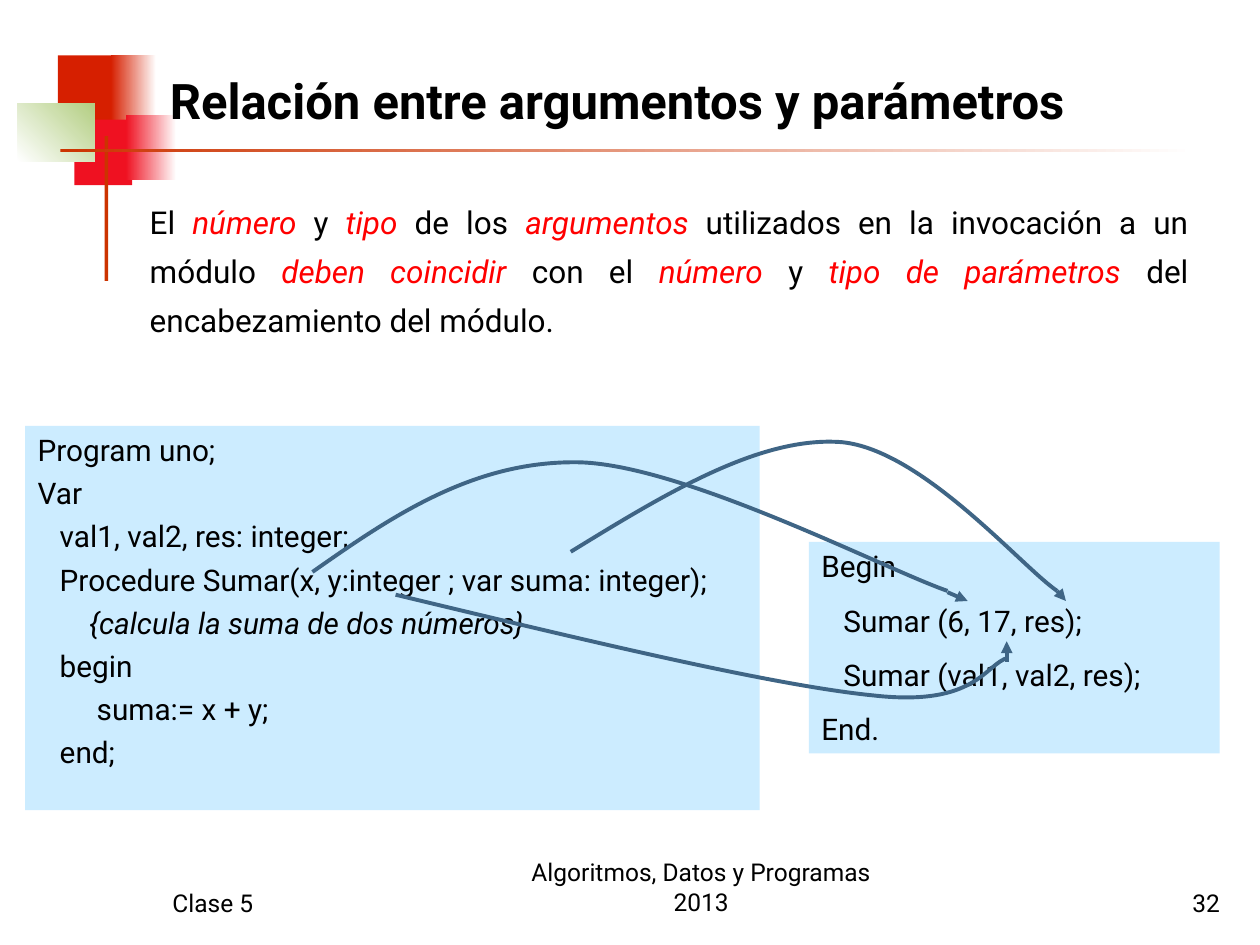
"""Build the slide on the relation between arguments and parameters."""
from lxml import etree
from pptx import Presentation
from pptx.dml.color import RGBColor
from pptx.enum.shapes import MSO_CONNECTOR, MSO_SHAPE
from pptx.enum.text import MSO_ANCHOR, PP_ALIGN
from pptx.oxml.ns import qn
from pptx.util import Inches, Pt

RECTANGLE = MSO_SHAPE.RECTANGLE
STRAIGHT = MSO_CONNECTOR.STRAIGHT
TOP, MIDDLE, BOTTOM = MSO_ANCHOR.TOP, MSO_ANCHOR.MIDDLE, MSO_ANCHOR.BOTTOM
LEFT, CENTER, RIGHT, JUSTIFY = PP_ALIGN.LEFT, PP_ALIGN.CENTER, PP_ALIGN.RIGHT, PP_ALIGN.JUSTIFY
FONT = "Roboto"
COLORS = {
    "white": "FFFFFF", "black": "000000", "emphasis": "FF0000",
    "brick": "D61F00", "red": "EF1121", "green": "B3CE82",
    "rule": "CC3300", "code": "CCECFF", "arrow": "3F6585",
}


def color(name):
    return RGBColor.from_string(COLORS[name])


def add_text(text, *, box, size, fill=None, bold=False, align=LEFT, anchor=TOP,
             emphasis="black", before=0, spacing=None, hanging=0):
    position = [Inches(value) for value in box]
    if fill:
        shape = slide.shapes.add_shape(RECTANGLE, *position)
        shape.shadow.inherit = False
        shape.fill.solid()
        shape.fill.fore_color.rgb = color(fill)
        shape.line.fill.background()
    else:
        shape = slide.shapes.add_textbox(*position)
    frame = shape.text_frame
    frame.word_wrap = True
    frame.vertical_anchor = anchor
    for number, line in enumerate(text.split("\n")):
        paragraph = frame.add_paragraph() if number else frame.paragraphs[0]
        paragraph.alignment = align
        if number:
            paragraph.space_before = Pt(before)
        if spacing:
            paragraph.line_spacing = spacing
        if hanging:
            properties = paragraph._p.get_or_add_pPr()
            properties.set("marL", str(Inches(hanging)))
            properties.set("indent", str(-Inches(hanging)))
        for part, words in enumerate(line.split("*")):
            if words:
                run = paragraph.add_run()
                run.text = words
                font = run.font
                font.name, font.size, font.bold = FONT, Pt(size), bold
                font.italic = part % 2 == 1
                font.color.rgb = color(emphasis if part % 2 else "black")


presentation = Presentation()
presentation.slide_width = Inches(10)
presentation.slide_height = Inches(7.5)
slide = presentation.slides.add_slide(presentation.slide_layouts[6])

decorations = [
    ((0.46, 0.44, 0.48, 0.52), ["brick"], 0),
    ((0.88, 0.44, 0.36, 0.52), ["brick", "white"], 0),
    ((0.59, 0.95, 0.46, 0.52), ["red"], 0),
    ((1, 0.91, 0.4, 0.52), ["red", "white"], 0),
    ((0.14, 0.82, 0.61, 0.46), ["white", "green"], 45),
    ((0.83, 1.08, 0.03, 1.15), ["rule"], 0),
    ((0.48, 1.18, 9, 0.03), ["rule", "white"], 0),
]
for box, shades, angle in decorations:
    shape = slide.shapes.add_shape(RECTANGLE, *[Inches(value) for value in box])
    shape.shadow.inherit = False
    shape.line.fill.background()
    if len(shades) == 1:
        shape.fill.solid()
        shape.fill.fore_color.rgb = color(shades[0])
    else:
        shape.fill.gradient()
        shape.fill.gradient_angle = angle
        for stop, shade in zip(shape.fill.gradient_stops, shades):
            stop.color.rgb = color(shade)

add_text("Relación entre argumentos y parámetros", box=(1.25, 0.25, 8.83, 1.08),
         size=28, bold=True, align=JUSTIFY, anchor=MIDDLE)
add_text("El *número* y *tipo* de los *argumentos *utilizados en la invocación a un módulo "
         "*deben coincidir *con el *número* y *tipo de parámetros *del encabezamiento del módulo.",
         box=(1.09, 1.47, 8.44, 1.49), size=18, align=JUSTIFY, emphasis="emphasis", spacing=1.3)

footers = [
    ("Clase 5", (1.27, 6.83, 2.08, 0.5), LEFT),
    ("32", (7.7, 6.83, 2.08, 0.5), RIGHT),
    ("Algoritmos, Datos y Programas 2013", (3.98, 6.82, 3.17, 0.5), CENTER),
]
for text, box, align in footers:
    add_text(text, box=box, size=14, align=align, anchor=BOTTOM)

procedure_code = """Program uno;
Var
   val1, val2, res: integer;
   Procedure Sumar(x, y:integer ; var suma: integer);
       *{calcula la suma de dos números}*
   begin
        suma:= x + y;
   end;"""
add_text(procedure_code, box=(0.2, 3.38, 5.83, 3.05), size=17, fill="code",
         align=JUSTIFY, before=4.2, hanging=0.38)

main_code = """Begin
   Sumar (6, 17, res);
   Sumar (val1, val2, res);
End."""
add_text(main_code, box=(6.42, 4.3, 3.26, 1.68), size=17, fill="code", before=10.6)

arrows = [
    ([(2.48, 4.54), (3.12, 4.09), (3.77, 3.65), (4.61, 3.67),
      (5.45, 3.7), (7.03, 4.52), (7.52, 4.69)], (7.52, 4.7, 7.68, 4.77)),
    ([(4.53, 4.38), (5.28, 3.92), (6.03, 3.46), (6.68, 3.51),
      (7.32, 3.57), (8.11, 4.5), (8.39, 4.69)], (8.39, 4.69, 8.46, 4.77)),
    ([(3.14, 4.72), (4.64, 5.08), (6.13, 5.44), (6.94, 5.52),
      (7.75, 5.61), (7.82, 5.27), (8, 5.22)], (7.99, 5.25, 7.99, 5.09)),
]
for points, tip in arrows:
    start, *controls = [(Inches(x), Inches(y)) for x, y in points]
    builder = slide.shapes.build_freeform(*start)
    builder.add_line_segments(controls, close=False)
    curve = builder.convert_to_shape()
    curve.shadow.inherit = False
    curve.fill.background()
    segments = list(curve._element.iter(qn("a:lnTo")))
    for first in range(0, len(segments), 3):
        bezier = etree.SubElement(segments[first].getparent(), qn("a:cubicBezTo"))
        for segment in segments[first:first + 3]:
            bezier.append(segment[0])
            segment.getparent().remove(segment)

    head = slide.shapes.add_connector(STRAIGHT, *[Inches(value) for value in tip])
    etree.SubElement(head._element.spPr, qn("a:effectLst"))
    for shape in (curve, head):
        shape.line.color.rgb = color("arrow")
        shape.line.width = Pt(2.25)
    etree.SubElement(head.line._get_or_add_ln(), qn("a:tailEnd"), type="triangle")

presentation.save("out.pptx")
